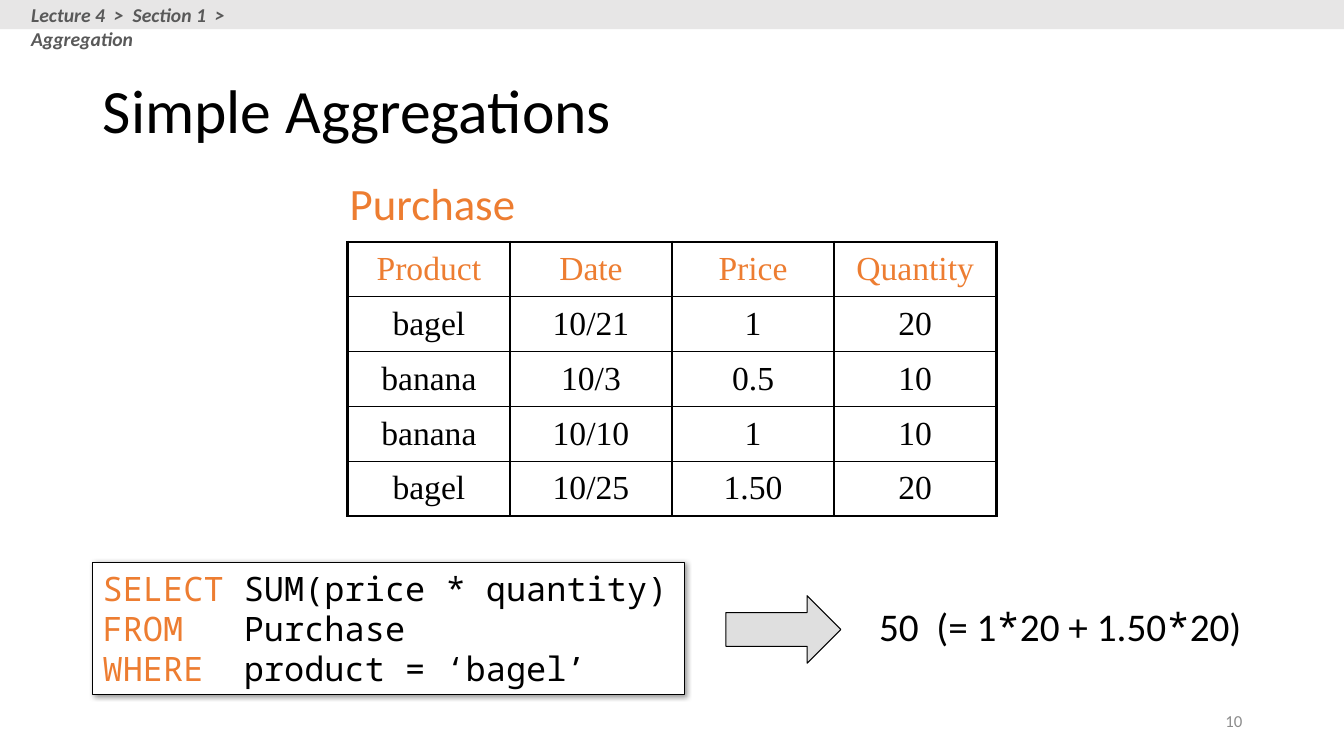
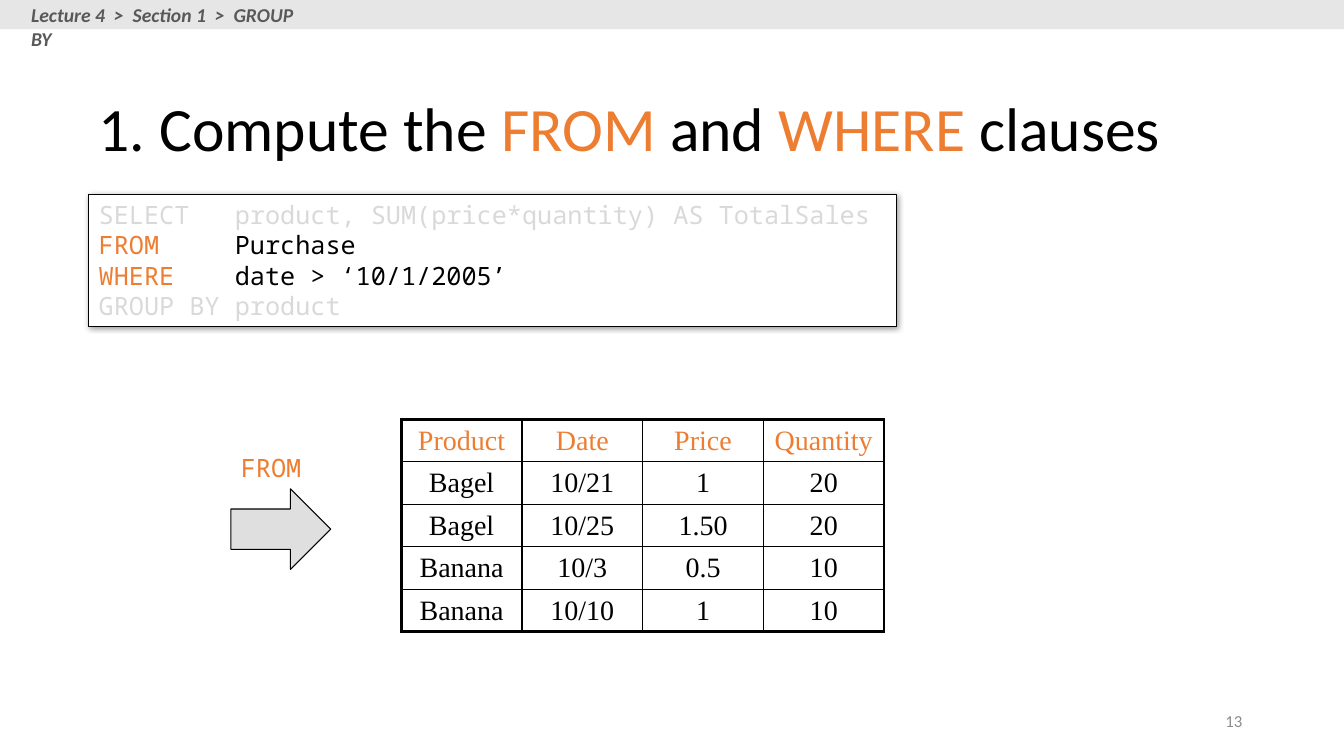
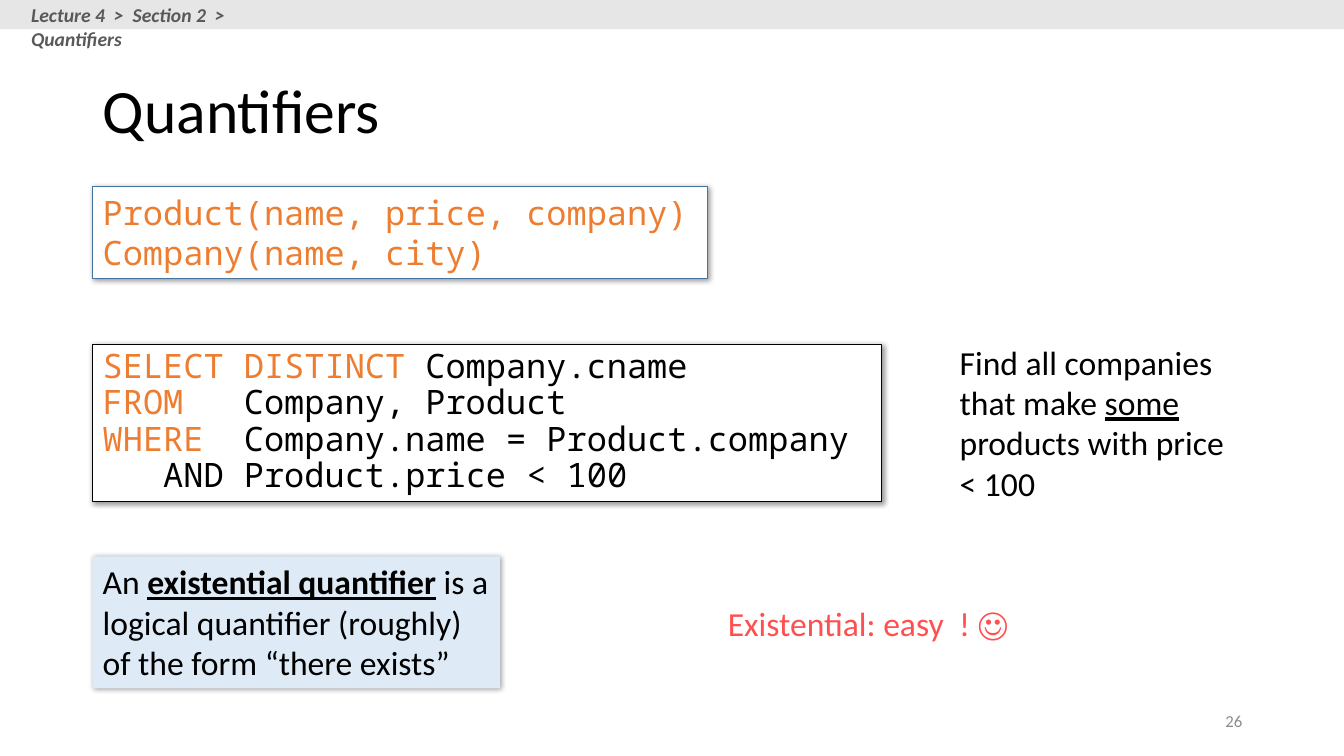
from pptx import Presentation
from pptx.dml.color import RGBColor
from pptx.enum.shapes import MSO_SHAPE
from pptx.enum.text import MSO_ANCHOR, MSO_AUTO_SIZE, PP_ALIGN
from pptx.oxml import parse_xml
from pptx.oxml.ns import nsdecls, qn
from pptx.util import Inches, Pt
from lxml import etree

BLACK, WHITE, ORANGE, FADED = "000000", "FFFFFF", "ED7D31", "D9D9D9"
BAND, CRUMB, NUMBER = "E7E6E6", "595959", "8C8C8C"
ARROW, SCHEMA_LINE, NOTE, CORAL = "C0C0C0", "43739E", "DEEBF7", "FF5050"
SANS, MONO, SERIF = "Calibri", "Noto Sans Mono", "Times New Roman"

# A run is (text, changes to the base style); a plain string keeps the base style.
KEY = {"color": ORANGE}
DIM = {"color": FADED}
CODE_STAR = ("*", {"font": MONO})

HEADER = ["Product", "Date", "Price", "Quantity"]

SLIDES = [
    {
        "number": "10",
        "crumb": ("Lecture 4  >  Section 1  >  Aggregation", 3.17),
        "title": (["Simple Aggregations"], (0.92, 0.4, 11.5, 1.45)),
        "table": ((3.45, 2.4, 6.43, 2.72), 24, [
            HEADER,
            ["bagel", "10/21", "1", "20"],
            ["banana", "10/3", "0.5", "10"],
            ["banana", "10/10", "1", "10"],
            ["bagel", "10/25", "1.50", "20"]]),
        "arrow": (7.2, 5.91, 1.14, 0.67),
        "boxes": [
            {"at": (0.92, 5.58, 5.87, 1.31), "font": MONO, "size": 24, "lines": [
                [("SELECT ", KEY), "SUM(price * quantity)"],
                [("FROM   ", KEY), "Purchase"],
                [("WHERE  ", KEY), "product = ‘bagel’"]]},
        ],
        "labels": [
            {"at": (3.37, 1.69, 1.86, 0.64), "size": 32, "color": ORANGE,
             "wrap": False, "lines": [["Purchase"]]},
            {"at": (8.62, 5.93, 3.84, 0.57), "size": 28, "wrap": False,
             "lines": [["50  (= 1", CODE_STAR, "20 + 1.50", CODE_STAR, "20)"]]},
        ],
    },
    {
        "number": "13",
        "crumb": ("Lecture 4  >  Section 1  >  GROUP BY", 3),
        "title": (["1. Compute the ", ("FROM", KEY), " and ", ("WHERE", KEY), " clauses"],
                  (0.88, 0.68, 10.99, 1.25)),
        "table": ((3.98, 4.16, 4.79, 2.11), 20, [
            HEADER,
            ["Bagel", "10/21", "1", "20"],
            ["Bagel", "10/25", "1.50", "20"],
            ["Banana", "10/3", "0.5", "10"],
            ["Banana", "10/10", "1", "10"]]),
        "arrow": (2.29, 4.85, 0.99, 0.8),
        "boxes": [
            {"at": (0.88, 1.93, 8.01, 1.31), "font": MONO, "size": 18, "lines": [
                [("SELECT   product, SUM(price*quantity) AS TotalSales", DIM)],
                [("FROM     ", KEY), "Purchase"],
                [("WHERE    ", KEY), "date > ‘10/1/2005’"],
                [("GROUP BY product", DIM)]]},
        ],
        "labels": [
            {"at": (2.29, 4.44, 0.81, 0.4), "font": MONO, "size": 18, "color": ORANGE,
             "wrap": False, "lines": [["FROM"]]},
        ],
    },
    {
        "number": "26",
        "crumb": ("Lecture 4  >  Section 2  >  Quantifiers", 3.06),
        "title": (["Quantifiers"], (0.92, 0.4, 11.5, 1.45)),
        "boxes": [
            {"at": (0.92, 1.85, 6.1, 0.91), "line": SCHEMA_LINE, "font": MONO, "size": 24,
             "color": ORANGE,
             "lines": [["Product(name, price, company)"], ["Company(name, city)"]]},
            {"at": (0.92, 3.42, 7.82, 1.56), "font": MONO, "size": 24, "spacing": 0.9,
             "lines": [
                 [("SELECT DISTINCT ", KEY), "Company.cname"],
                 [("FROM   ", KEY), "Company, Product"],
                 [("WHERE  ", KEY), "Company.name = Product.company"],
                 ["   AND Product.price < 100"]]},
            {"at": (0.92, 5.52, 4.04, 1.31), "fill": NOTE, "line": None, "size": 24,
             "lines": [["An ",
                        ("existential quantifier", {"bold": True, "underline": True}),
                        " is a logical quantifier (roughly) of the form “there exists”"]]},
        ],
        "labels": [
            {"at": (9.42, 3.34, 3, 1.72), "size": 24, "lines": [
                ["Find all companies that make ", ("some", {"underline": True}),
                 " products with price < 100"]]},
            {"at": (7.12, 5.93, 3, 0.5), "size": 24, "color": CORAL, "wrap": False,
             "lines": [["Existential: easy  ! ☺"]]},
        ],
    },
]


def rgb(value):
    """Turn a hex string into a colour."""
    return RGBColor.from_string(value)


def place(at):
    """Turn left, top, width, height in inches into lengths."""
    return [Inches(v) for v in at]


def write(frame, lines, size, font=SANS, color=BLACK, bold=None, italic=None,
          align=PP_ALIGN.LEFT, anchor=MSO_ANCHOR.TOP, spacing=None, wrap=True):
    """Fill a text frame with lines of runs in one base style."""
    frame.word_wrap = wrap
    frame.auto_size = MSO_AUTO_SIZE.NONE
    frame.vertical_anchor = anchor
    base = {"font": font, "color": color, "bold": bold, "italic": italic}
    for i, line in enumerate(lines):
        paragraph = frame.paragraphs[0] if i == 0 else frame.add_paragraph()
        paragraph.alignment = align
        paragraph.line_spacing = spacing
        for item in line:
            text, changes = (item, {}) if isinstance(item, str) else item
            style = {**base, **changes}
            run = paragraph.add_run()
            run.text = text
            run.font.size = Pt(size)
            run.font.name = style["font"]
            run.font.color.rgb = rgb(style["color"])
            run.font.bold = style["bold"]
            run.font.italic = style["italic"]
            run.font.underline = style.get("underline")


def add_label(slide, at, lines, size, **style):
    """Add a text box."""
    write(slide.shapes.add_textbox(*place(at)).text_frame, lines, size, **style)


def add_block(slide, kind, at, fill, line=None):
    """Add a filled preset shape without a shadow."""
    block = slide.shapes.add_shape(kind, *place(at))
    block.shadow.inherit = False
    block.fill.solid()
    block.fill.fore_color.rgb = rgb(fill)
    if line:
        block.line.color.rgb = rgb(line)
        block.line.width = Pt(0.75)
    else:
        block.line.fill.background()
    return block


def add_box(slide, at, lines, size, fill=WHITE, line=BLACK, **style):
    """Add a text panel with a soft shadow."""
    box = add_block(slide, MSO_SHAPE.RECTANGLE, at, fill, line)
    effects = box._element.spPr.find(qn("a:effectLst"))
    effects.append(parse_xml(
        f'<a:outerShdw {nsdecls("a")} blurRad="{Pt(4)}" dist="{Pt(1)}" dir="2700000" '
        f'algn="tl" rotWithShape="0"><a:srgbClr val="{BLACK}"><a:alpha val="40000"/>'
        '</a:srgbClr></a:outerShdw>'))
    write(box.text_frame, lines, size, **style)


def add_arrow(slide, at):
    """Add a half transparent block arrow."""
    arrow = add_block(slide, MSO_SHAPE.RIGHT_ARROW, at, ARROW, BLACK)
    tint = arrow._element.spPr.find(qn("a:solidFill")).find(qn("a:srgbClr"))
    etree.SubElement(tint, qn("a:alpha")).set("val", "50000")


def set_borders(cell, widths):
    """Draw the cell's left, right, top and bottom borders, widths in points."""
    properties = cell._tc.get_or_add_tcPr()
    for i, (side, width) in enumerate(zip("LRTB", widths)):
        properties.insert(i, parse_xml(
            f'<a:ln{side} {nsdecls("a")} w="{Pt(width)}"><a:solidFill>'
            f'<a:srgbClr val="{BLACK}"/></a:solidFill></a:ln{side}>'))


def add_grid(slide, at, size, rows):
    """Add a table with equal cells, a heavy frame and thin inner rules."""
    row_count, col_count = len(rows), len(rows[0])
    table = slide.shapes.add_table(row_count, col_count, *place(at)).table
    table.first_row = table.horz_banding = False
    for column in table.columns:
        column.width = Inches(at[2] / col_count)
    for r, row in enumerate(rows):
        table.rows[r].height = Inches(at[3] / row_count)
        for c, text in enumerate(row):
            cell = table.cell(r, c)
            cell.fill.background()
            write(cell.text_frame, [[text]], size, font=SERIF,
                  color=BLACK if r else ORANGE, align=PP_ALIGN.CENTER)
            cell.vertical_anchor = MSO_ANCHOR.MIDDLE
            on_frame = (c == 0, c == col_count - 1, r == 0, r == row_count - 1)
            set_borders(cell, [2.25 if edge else 1 for edge in on_frame])


def add_frame(slide, title, crumb, number):
    """Add what every slide shares: title, top band, breadcrumb and page number."""
    runs, at = title
    heading = slide.shapes.title
    heading.left, heading.top, heading.width, heading.height = place(at)
    write(heading.text_frame, [runs], 44, anchor=MSO_ANCHOR.MIDDLE, spacing=0.9)
    add_block(slide, MSO_SHAPE.RECTANGLE, (0, 0, 13.33, 0.29), BAND)
    path, width = crumb
    add_label(slide, (0.21, -0.02, width, 0.34), [[path]], 14, color=CRUMB,
              bold=True, italic=True)
    add_label(slide, (9.42, 6.95, 3, 0.4), [[number]], 12, color=NUMBER,
              align=PP_ALIGN.RIGHT, anchor=MSO_ANCHOR.MIDDLE)


def main():
    """Build and save the slides."""
    deck = Presentation()
    deck.slide_width, deck.slide_height = Inches(13.33), Inches(7.5)
    title_only = deck.slide_layouts[5]
    for content in SLIDES:
        slide = deck.slides.add_slide(title_only)
        add_frame(slide, content["title"], content["crumb"], content["number"])
        if "table" in content:
            add_grid(slide, *content["table"])
        if "arrow" in content:
            add_arrow(slide, content["arrow"])
        for box in content["boxes"]:
            add_box(slide, **box)
        for label in content["labels"]:
            add_label(slide, **label)
    deck.save("out.pptx")


main()
